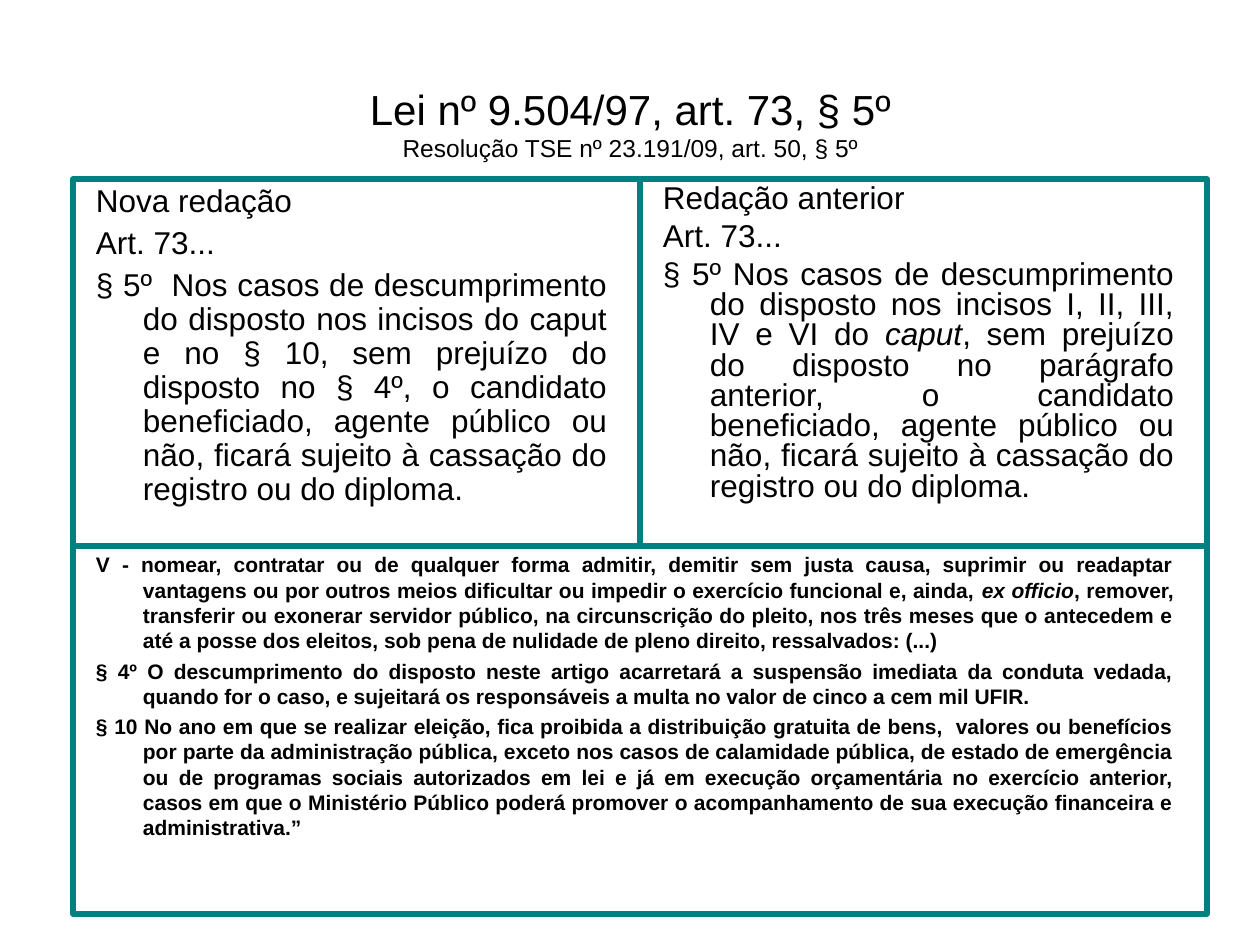
from pptx import Presentation
from pptx.dml.color import RGBColor
from pptx.enum.shapes import MSO_SHAPE
from pptx.enum.text import MSO_ANCHOR, PP_ALIGN
from pptx.util import Pt

PX = 914400 / 126
TEAL = RGBColor(0x00, 0x80, 0x80)
BLACK = RGBColor(0x00, 0x00, 0x00)
RECTANGLE = MSO_SHAPE.RECTANGLE
TOP = MSO_ANCHOR.TOP
CENTER, JUSTIFY = PP_ALIGN.CENTER, PP_ALIGN.JUSTIFY


def px(length):
    return round(length * PX)


def set_insets(frame, left, top, right, bottom):
    frame.word_wrap = True
    frame.vertical_anchor = TOP
    frame.margin_left, frame.margin_top = px(left), px(top)
    frame.margin_right, frame.margin_bottom = px(right), px(bottom)


LEFT, UPPER, LOWER = 73, 179, 546
HALF, HEIGHT = 567, 368
HANGING = 47

new_wording = [
    ["Nova redação"],
    ["Art. 73..."],
    ["§ 5º  Nos casos de descumprimento do disposto nos incisos do caput e no § 10, "
     "sem prejuízo do disposto no § 4º, o candidato beneficiado, agente público ou não, "
     "ficará sujeito à cassação do registro ou do diploma."],
]
former_wording = [
    ["Redação anterior"],
    ["Art. 73..."],
    ["§ 5º Nos casos de descumprimento do disposto nos incisos I, II, III, IV e VI do ",
     "caput",
     ", sem prejuízo do disposto no parágrafo anterior, o candidato beneficiado, "
     "agente público ou não, ficará sujeito à cassação do registro ou do diploma."],
]
related_rules = [
    ["V - nomear, contratar ou de qualquer forma admitir, demitir sem justa causa, "
     "suprimir ou readaptar vantagens ou por outros meios dificultar ou impedir o "
     "exercício funcional e, ainda, ",
     "ex officio",
     ", remover, transferir ou exonerar servidor público, na circunscrição do pleito, "
     "nos três meses que o antecedem e até a posse dos eleitos, sob pena de nulidade "
     "de pleno direito, ressalvados: (...)"],
    ["§ 4º O descumprimento do disposto neste artigo acarretará a suspensão imediata da "
     "conduta vedada, quando for o caso, e sujeitará os responsáveis a multa no valor "
     "de cinco a cem mil UFIR."],
    ["§ 10 No ano em que se realizar eleição, fica proibida a distribuição gratuita de "
     "bens,  valores ou benefícios por parte da administração pública, exceto nos casos "
     "de calamidade pública, de estado de emergência ou de programas sociais autorizados "
     "em lei e já em execução orçamentária no exercício anterior, casos em que o "
     "Ministério Público poderá promover o acompanhamento de sua execução financeira e "
     "administrativa.”"],
]
panels = [
    (LEFT, UPPER, HALF, new_wording, 18, False, 0.9, 4.5),
    (LEFT + HALF, UPPER, HALF, former_wording, 18, False, 0.8, 4.5),
    (LEFT, LOWER, 2 * HALF, related_rules, 12, True, 1.0, 3),
]

prs = Presentation()
prs.slide_width, prs.slide_height = px(1260), px(945)
slide = prs.slides.add_slide(prs.slide_layouts[6])

for left, top, width, provisions, size, bold, line_spacing, gap in panels:
    panel = slide.shapes.add_shape(RECTANGLE, px(left), px(top), px(width), px(HEIGHT))
    panel.shadow.inherit = False
    panel.fill.background()
    panel.line.color.rgb = TEAL
    panel.line.width = Pt(3)
    frame = panel.text_frame
    set_insets(frame, 23, 6, 33, 6)
    for index, provision in enumerate(provisions):
        paragraph = frame.add_paragraph() if index else frame.paragraphs[0]
        properties = paragraph._p.get_or_add_pPr()
        properties.set("marL", str(px(HANGING)))
        properties.set("indent", str(px(-HANGING)))
        paragraph.alignment = JUSTIFY
        paragraph.line_spacing = line_spacing
        paragraph.space_before = Pt(gap if index else 0)
        paragraph.font.name = "Arial"
        paragraph.font.size = Pt(size)
        paragraph.font.bold = bold
        paragraph.font.color.rgb = BLACK
        for part, wording in enumerate(provision):
            run = paragraph.add_run()
            run.text = wording
            if part == 1:
                run.font.italic = True

heading = slide.shapes.add_textbox(px(95), px(73), px(1071), px(84)).text_frame
set_insets(heading, 13, 10, 13, 6)
for index, (wording, size) in enumerate([
    ("Lei nº 9.504/97, art. 73, § 5º", 24),
    ("Resolução TSE nº 23.191/09, art. 50, § 5º", 14),
]):
    paragraph = heading.add_paragraph() if index else heading.paragraphs[0]
    paragraph.text = wording
    paragraph.alignment = CENTER
    paragraph.font.name = "Arial"
    paragraph.font.size = Pt(size)
    paragraph.font.color.rgb = BLACK

prs.save("out.pptx")
